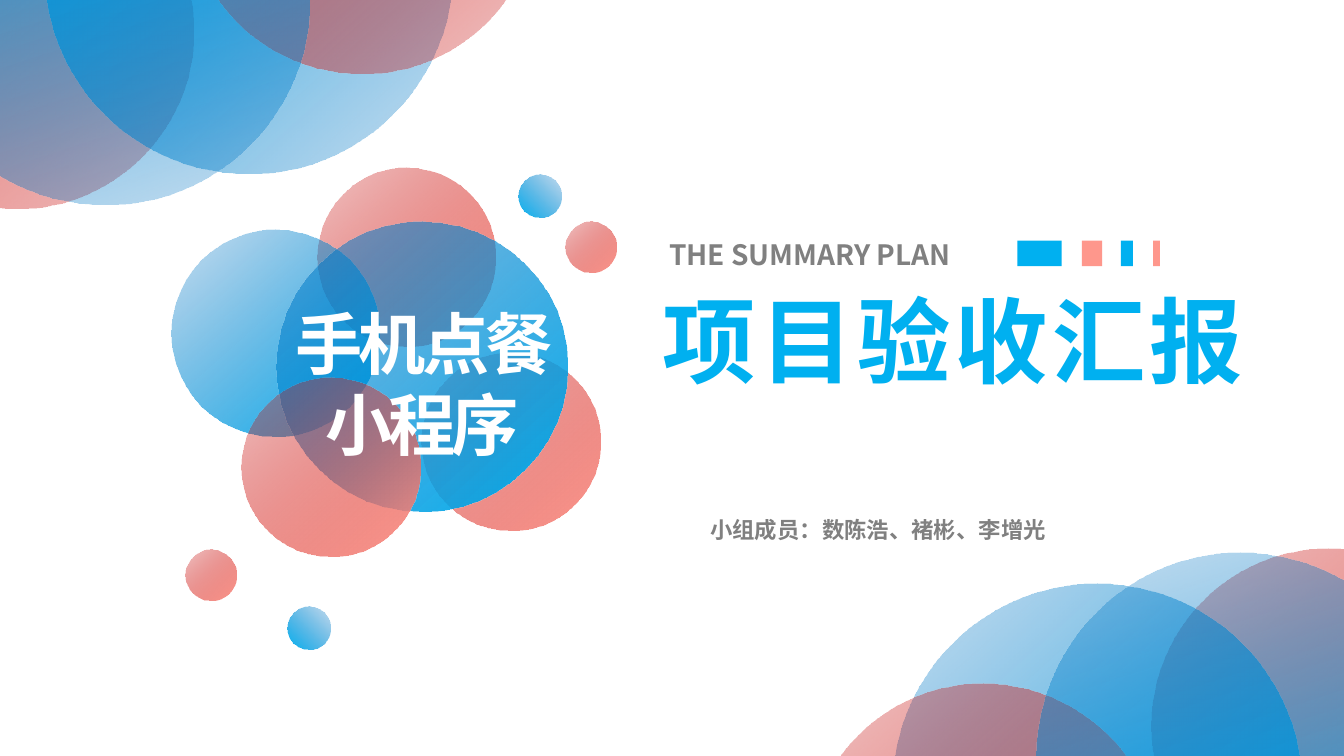
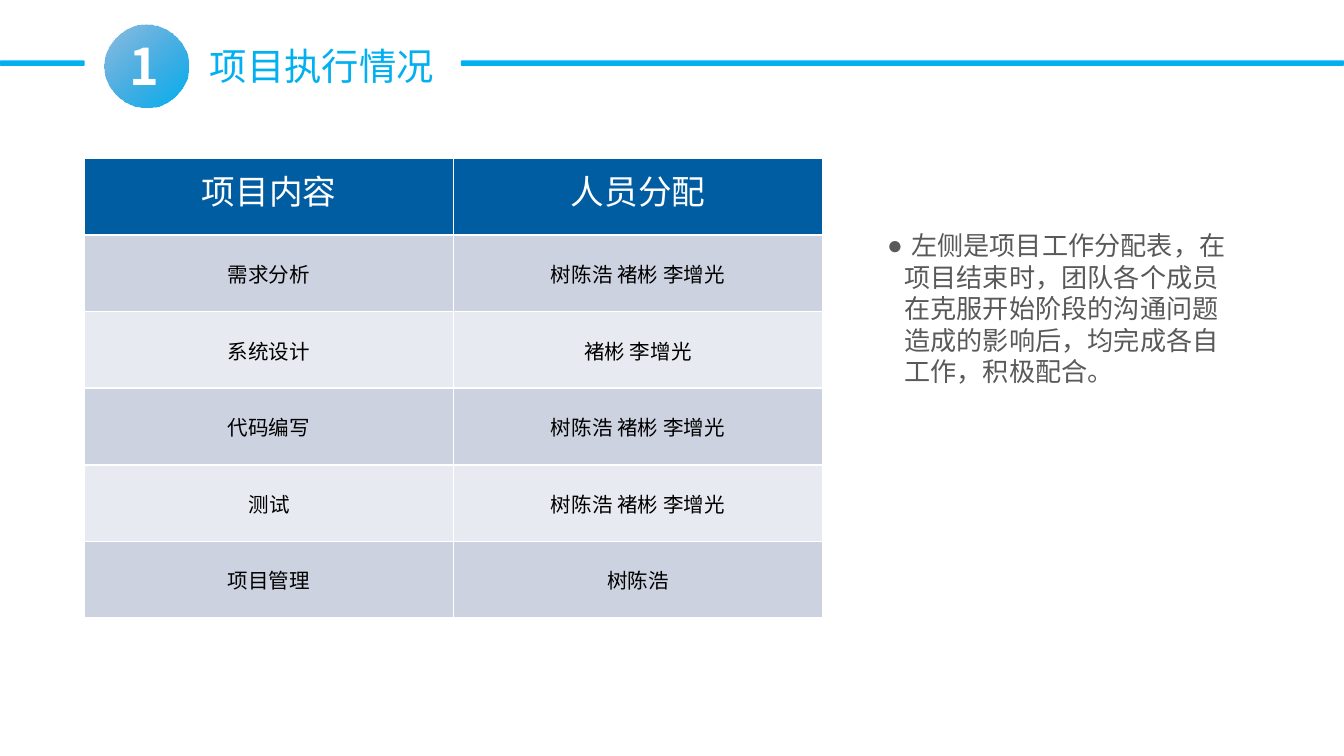
from dataclasses import dataclass

import lxml.etree
import pptx
import pptx.dml.color
import pptx.enum.dml
import pptx.enum.shapes
import pptx.enum.text
import pptx.oxml.ns
import pptx.util

Inches = pptx.util.Inches
qn = pptx.oxml.ns.qn
PRESET = pptx.enum.shapes.MSO_SHAPE
ALIGN = pptx.enum.text.PP_ALIGN
ANCHOR = pptx.enum.text.MSO_ANCHOR


@dataclass(frozen=True)
class Theme:
    """Colours, fonts and type sizes shared by the slides."""
    blue: str = "00B0F0"
    deep_blue: str = "0070C0"
    coral: str = "FE978C"
    red: str = "C00000"
    grey: str = "808080"
    body: str = "595959"
    white: str = "FFFFFF"
    black: str = "000000"
    header: str = "005DA2"
    bands: tuple = ("CCD2E0", "E7EAF0")
    font: str = "Noto Sans CJK SC"
    header_font: str = "Calibri"
    leading: float = 1.2
    cover_size: float = 50
    product_size: float = 36
    number_size: float = 27
    heading_size: float = 20
    header_size: float = 18
    tagline_size: float = 15
    body_size: float = 14
    members_size: float = 12
    cell_size: float = 11


@dataclass(frozen=True)
class Box:
    """A region of the slide in inches."""
    left: float
    top: float
    width: float
    height: float

    def inside(self, left, top, width, height):
        """Return a box placed relative to this one."""
        return Box(self.left + left, self.top + top, width, height)

    def lengths(self):
        """Return the four measures as lengths."""
        return [Inches(v) for v in (self.left, self.top, self.width, self.height)]


THEME = Theme()
PAGE = Box(0, 0, 10, 10 * 9 / 16)
BLUE_FADE = (THEME.deep_blue, THEME.blue)
RED_FADE = (THEME.red, THEME.coral)


def rgb(value):
    """Turn a hex string into a colour."""
    return pptx.dml.color.RGBColor.from_string(value)


def add_run(paragraph, text, size, color, bold=False, spacing=0, font=THEME.font):
    """Add one formatted run, with letter spacing in points."""
    run = paragraph.add_run()
    run.text = text
    run.font.size = pptx.util.Pt(size)
    run.font.bold = bold
    run.font.name = font
    run.font.color.rgb = rgb(color)
    properties = run.font._element
    if spacing:
        properties.set("spc", str(round(spacing * 100)))
    lxml.etree.SubElement(properties, qn("a:ea")).set("typeface", THEME.font)


def write(holder, box, text, size, color, align=ALIGN.LEFT, inset=0.04, **style):
    """Place a text holder in its box and write one paragraph per line of text."""
    holder.left, holder.top, holder.width, holder.height = box.lengths()
    frame = holder.text_frame
    frame.word_wrap = True
    frame.auto_size = pptx.enum.text.MSO_AUTO_SIZE.NONE
    frame.vertical_anchor = ANCHOR.TOP
    frame.margin_left = frame.margin_right = Inches(inset)
    frame.margin_top = frame.margin_bottom = Inches(inset)
    for index, line in enumerate(text.split("\n")):
        paragraph = frame.add_paragraph() if index else frame.paragraphs[0]
        paragraph.alignment = align
        paragraph.space_before = pptx.util.Pt(0)
        paragraph.line_spacing = pptx.util.Pt(round(size * THEME.leading, 1))
        add_run(paragraph, line, size, color, **style)


def add_text(slide, box, *content, **style):
    """Add a text box and write in it."""
    write(slide.shapes.add_textbox(*box.lengths()), box, *content, **style)


def add_block(slide, box, color, preset=PRESET.RECTANGLE):
    """Add a flat, unlined shape."""
    block = slide.shapes.add_shape(preset, *box.lengths())
    block.shadow.inherit = False
    block.line.fill.background()
    block.fill.solid()
    block.fill.fore_color.rgb = rgb(color)
    return block


def add_bubble(slide, box, fade, angle=48, alpha=22):
    """Add a circle fading in from a translucent colour, angle clockwise."""
    bubble = add_block(slide, box, fade[1], PRESET.OVAL)
    bubble.fill.gradient()
    bubble.fill.gradient_angle = (360 - angle) % 360
    for stop, color, position in zip(bubble.fill.gradient_stops, fade, (0, 1)):
        stop.color.rgb = rgb(color)
        stop.position = position
    first_color = next(bubble._element.iter(qn("a:gs")))[0]
    lxml.etree.SubElement(first_color, qn("a:alpha")).set("val", str(alpha * 1000))


def corner_bubbles(slide, page, opposite=False):
    """Draw the bubbles of the top left corner, or turn them to the opposite one."""
    bubbles = (
        (-1.19, -1.08, 2.63, RED_FADE, 228),
        (0.33, -1.75, 3.04, BLUE_FADE, 228),
        (1.38, -2.08, 2.63, RED_FADE, 228),
        (-0.74, -1.52, 3.04, BLUE_FADE, 252),
    )
    for left, top, size, fade, angle in bubbles:
        if opposite:
            left, top = page.width + 0.01 - left - size, page.height + 0.01 - top - size
            angle -= 180
        add_bubble(slide, page.inside(left, top, size, size), fade, angle)


def product_bubbles(slide, box):
    """Draw the bubble cluster that carries the product name."""
    bubbles = (
        (1.08, 0, 1.33, RED_FADE, 48, 22),
        (1.86, 1.37, 1.33, RED_FADE, 48, 22),
        (0, 0.46, 1.54, BLUE_FADE, 48, 22),
        (0.78, 0.4, 2.16, BLUE_FADE, 48, 44),
        (2.58, 0.05, 0.32, BLUE_FADE, 135, 22),
        (2.93, 0.4, 0.38, RED_FADE, 48, 22),
        (0.52, 1.56, 1.33, RED_FADE, 48, 22),
        (0.86, 3.26, 0.32, BLUE_FADE, 135, 22),
        (0.1, 2.84, 0.38, RED_FADE, 48, 22),
    )
    for left, top, size, fade, angle, alpha in bubbles:
        add_bubble(slide, box.inside(left, top, size, size), fade, angle, alpha)
    add_text(slide, box.inside(0.8, 0.96, 2.12, 1.29), "手机点餐小程序",
             THEME.product_size, THEME.white, align=ALIGN.CENTER, bold=True, spacing=-2.2)


def cover_titles(slide, box):
    """Place the tagline with its bars, the title and the members."""
    title, members = slide.placeholders
    write(title, box.inside(0.18, 0.34, 4.81, 1.05), "项目验收汇报",
          THEME.cover_size, THEME.blue, bold=True, spacing=2.2)
    write(members, box.inside(0, 2.07, 3.65, 0.28), "小组成员：数陈浩、褚彬、李增光",
          THEME.members_size, THEME.grey, align=ALIGN.CENTER, bold=True)
    bars = ((2.86, 0.33), (3.34, 0.15), (3.63, 0.09), (3.87, 0.05))
    for index, (left, width) in enumerate(bars):
        add_block(slide, box.inside(left, 0.06, width, 0.19),
                  (THEME.blue, THEME.coral)[index % 2])
    add_text(slide, box.inside(0.23, 0, 2.77, 0.32), "THE SUMMARY PLAN",
             THEME.tagline_size, THEME.grey, bold=True)


def section_header(slide, box, number, heading):
    """Place the numbered heading between its two rules."""
    write(slide.shapes.title, box.inside(1.52, 0.1, 1.76, 0.41), heading,
          THEME.heading_size, THEME.blue)
    for left, right in ((3.43, box.width), (0, 0.63)):
        add_block(slide, box.inside(left, 0.27, right - left, 0.04),
                  THEME.blue, PRESET.ROUNDED_RECTANGLE)
    add_bubble(slide, box.inside(0.78, 0, 0.62, 0.62), BLUE_FADE, alpha=44)
    add_text(slide, box.inside(0.58, 0.03, 0.99, 0.56), number, THEME.number_size,
             THEME.white, align=ALIGN.CENTER, inset=0.05, bold=True, spacing=-2.2)


def border_cell(cell, color):
    """Draw one-point borders around a cell."""
    properties = cell._tc.get_or_add_tcPr()
    for index, side in enumerate(("a:lnL", "a:lnR", "a:lnT", "a:lnB")):
        line = lxml.etree.Element(qn(side), w=str(pptx.util.Pt(1)))
        fill = lxml.etree.SubElement(line, qn("a:solidFill"))
        lxml.etree.SubElement(fill, qn("a:srgbClr")).set("val", color)
        properties.insert(index, line)


def staffing_table(slide, box, rows):
    """Build the table of tasks and people, with a header and banded rows."""
    table = slide.shapes.add_table(len(rows), len(rows[0]), *box.lengths()).table
    for index, row in enumerate(rows):
        table.rows[index].height = Inches(box.height / len(rows))
        for cell, text in zip(table.rows[index].cells, row):
            paragraph = cell.text_frame.paragraphs[0]
            paragraph.alignment = ALIGN.CENTER
            cell.fill.solid()
            if index == 0:
                cell.fill.fore_color.rgb = rgb(THEME.header)
                add_run(paragraph, text, THEME.header_size, THEME.white,
                        font=THEME.header_font)
            else:
                cell.vertical_anchor = ANCHOR.MIDDLE
                cell.fill.fore_color.rgb = rgb(THEME.bands[(index - 1) % 2])
                add_run(paragraph, text, THEME.cell_size, THEME.black)
            border_cell(cell, THEME.white)


def remark(slide, box, text):
    """Write the remark in the body placeholder, with a bullet on its first line."""
    body = slide.placeholders[1]
    write(body, box, text, THEME.body_size, THEME.body, inset=0.03)
    for index, paragraph in enumerate(body.text_frame.paragraphs):
        properties = paragraph._p.get_or_add_pPr()
        margin, indent = (0.13, 0) if index else (0.18, -0.18)
        properties.set("marL", str(Inches(margin)))
        properties.set("indent", str(Inches(indent)))
        if index:
            lxml.etree.SubElement(properties, qn("a:buNone"))
        else:
            lxml.etree.SubElement(properties, qn("a:buChar")).set("char", "●")


def cover_slide(deck):
    """Build the cover."""
    slide = deck.slides.add_slide(deck.slide_layouts[0])
    corner_bubbles(slide, PAGE)
    corner_bubbles(slide, PAGE, opposite=True)
    product_bubbles(slide, PAGE.inside(1.28, 1.25, 3.31, 3.58))
    cover_titles(slide, PAGE.inside(4.71, 1.73, 4.99, 2.35))


def execution_slide(deck):
    """Build the slide on how the project was carried out."""
    slide = deck.slides.add_slide(deck.slide_layouts[1])
    section_header(slide, PAGE.inside(0, 0.18, 10, 0.62), "1", "项目执行情况")
    everyone = "树陈浩 褚彬 李增光"
    staffing_table(slide, PAGE.inside(0.63, 1.18, 5.49, 3.42), (
        ("项目内容", "人员分配"),
        ("需求分析", everyone),
        ("系统设计", "褚彬 李增光"),
        ("代码编写", everyone),
        ("测试", everyone),
        ("项目管理", "树陈浩"),
    ))
    remark(slide, PAGE.inside(6.57, 1.68, 2.59, 1.23),
           "左侧是项目工作分配表，在\n项目结束时，团队各个成员\n"
           "在克服开始阶段的沟通问题\n造成的影响后，均完成各自\n工作，积极配合。")


def main():
    """Build and save the deck."""
    deck = pptx.Presentation()
    deck.slide_width, deck.slide_height = Inches(PAGE.width), Inches(PAGE.height)
    cover_slide(deck)
    execution_slide(deck)
    deck.save("out.pptx")


if __name__ == "__main__":
    main()
